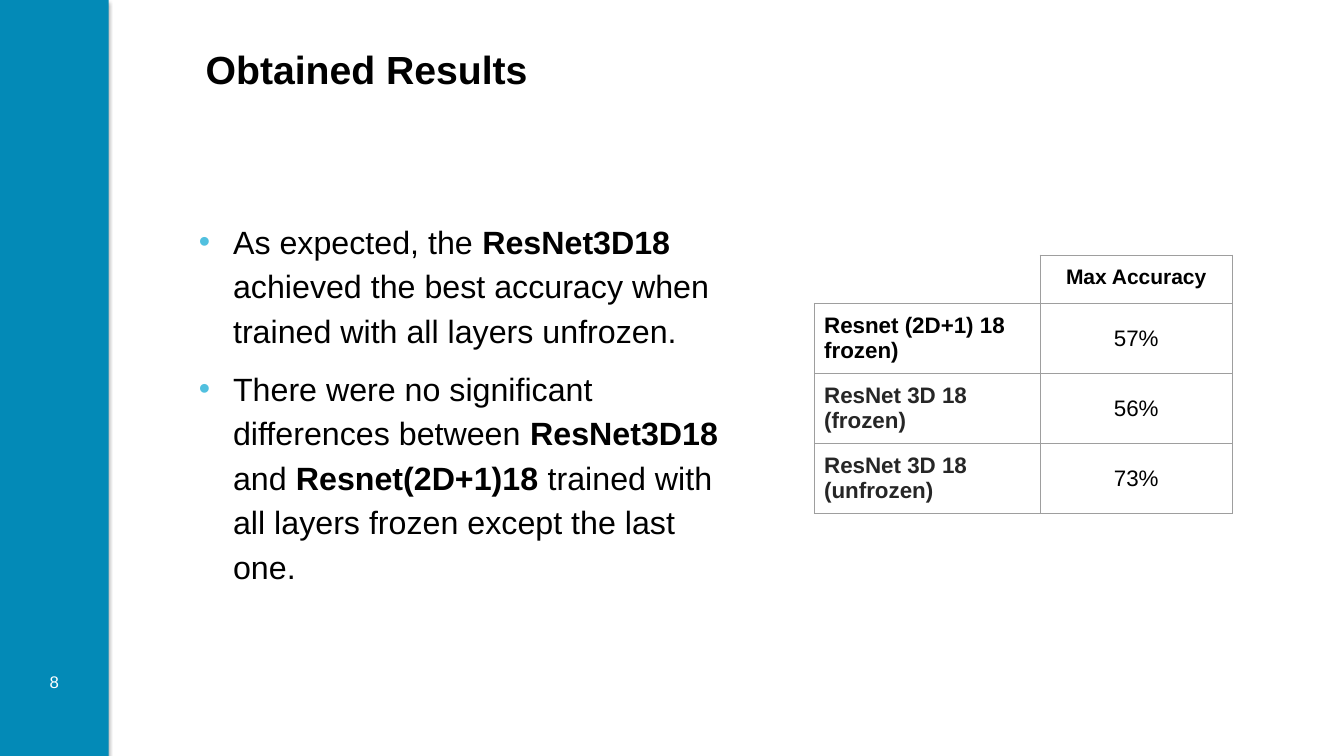
from dataclasses import dataclass

from lxml import etree
from pptx import Presentation
from pptx.dml.color import RGBColor
from pptx.enum.shapes import MSO_SHAPE
from pptx.enum.text import MSO_ANCHOR, MSO_AUTO_SIZE, PP_ALIGN
from pptx.oxml import parse_xml
from pptx.oxml.ns import nsdecls, qn
from pptx.util import Cm, Pt

RECTANGLE = MSO_SHAPE.RECTANGLE
TOP, MIDDLE = MSO_ANCHOR.TOP, MSO_ANCHOR.MIDDLE
LEFT, CENTER = PP_ALIGN.LEFT, PP_ALIGN.CENTER
NO_AUTOFIT = MSO_AUTO_SIZE.NONE


@dataclass(frozen=True)
class Theme:
    font: str = "Arial"
    text: str = "000000"
    label: str = "262626"
    light: str = "FFFFFF"
    bar: str = "038AB7"
    bullet: str = "51C0DF"
    grid: str = "9E9E9E"
    title_size: int = 28
    body_size: int = 23
    header_size: int = 15
    cell_size: int = 16
    number_size: int = 12


# Slide content: within a bullet, every second part is bold
BULLETS = [
    ["As expected, the ", "ResNet3D18",
     " achieved the best accuracy when trained with all layers unfrozen."],
    ["There were no significant differences between ", "ResNet3D18", " and ",
     "Resnet(2D+1)18", " trained with all layers frozen except the last one."],
]
RESULTS = [
    ("", "Max Accuracy"),
    ("Resnet (2D+1) 18 frozen)", "57%"),
    ("ResNet 3D 18 (frozen)", "56%"),
    ("ResNet 3D 18 (unfrozen)", "73%"),
]


class SlideBuilder:
    def __init__(self, deck, theme):
        self.theme = theme
        self.slide = deck.slides.add_slide(deck.slide_layouts[1])

    def style(self, para, size, color, bold=None, align=LEFT):
        para.alignment = align
        para.font.name = self.theme.font
        para.font.size = Pt(size)
        para.font.bold = bold
        para.font.color.rgb = RGBColor.from_string(color)

    def place(self, box, left, top, width, height, anchor=TOP):
        box.left, box.top = Cm(left), Cm(top)
        box.width, box.height = Cm(width), Cm(height)
        frame = box.text_frame
        frame.word_wrap = True
        frame.auto_size = NO_AUTOFIT
        frame.vertical_anchor = anchor
        return frame

    def side_bar(self, width, height):
        bar = self.slide.shapes.add_shape(RECTANGLE, 0, 0, Cm(width), Cm(height))
        bar.fill.solid()
        bar.fill.fore_color.rgb = RGBColor.from_string(self.theme.bar)
        bar.line.fill.background()
        bar.shadow.inherit = False
        effects = bar.fill._xPr.find(qn("a:effectLst"))
        effects.append(parse_xml(
            f'<a:outerShdw {nsdecls("a")} blurRad="{Pt(3.1)}" dist="{Pt(1.8)}" '
            'dir="5400000" rotWithShape="0"><a:srgbClr val="000000">'
            '<a:alpha val="35000"/></a:srgbClr></a:outerShdw>'))

    def title(self, text, *place):
        frame = self.place(self.slide.shapes.title, *place)
        frame.text = text
        self.style(frame.paragraphs[0], self.theme.title_size, self.theme.text, True)

    def number(self, text, *place):
        box = self.slide.shapes.add_textbox(0, 0, 0, 0)
        frame = self.place(box, *place, anchor=MIDDLE)
        frame.text = text
        self.style(frame.paragraphs[0], self.theme.number_size, self.theme.light,
                   align=CENTER)

    def bullets(self, items, *place):
        frame = self.place(self.slide.placeholders[1], *place)
        for index, parts in enumerate(items):
            para = frame.add_paragraph() if index else frame.paragraphs[0]
            para.line_spacing = 1.15
            para.space_before = Pt(10)
            self.add_bullet(para)
            self.style(para, self.theme.body_size, self.theme.text)
            for position, part in enumerate(parts):
                span = para.add_run()
                span.text = part
                if position % 2:
                    span.font.bold = True

    def add_bullet(self, para):
        props = para._p.get_or_add_pPr()
        props.set("marL", str(Cm(0.97)))
        props.set("indent", str(-Cm(0.86)))
        color = etree.SubElement(props, qn("a:buClr"))
        etree.SubElement(color, qn("a:srgbClr"), val=self.theme.bullet)
        etree.SubElement(props, qn("a:buFont"), typeface=self.theme.font)
        etree.SubElement(props, qn("a:buChar"), char="•")

    def borders(self, cell, hidden=""):
        props = cell._tc.get_or_add_tcPr()
        for side in "LRTB":
            color = self.theme.light if side in hidden else self.theme.grid
            props.append(parse_xml(
                f'<a:ln{side} {nsdecls("a")} w="{Pt(0.75)}"><a:solidFill>'
                f'<a:srgbClr val="{color}"/></a:solidFill></a:ln{side}>'))

    def cell_style(self, row, column):
        theme = self.theme
        if row == 0:
            return theme.header_size, theme.text, True, CENTER
        if column == 1:
            return theme.cell_size, theme.text, False, CENTER
        return theme.cell_size, theme.text if row == 1 else theme.label, True, LEFT

    def table(self, rows, left, top, widths, heights):
        frame = self.slide.shapes.add_table(
            len(rows), len(widths), Cm(left), Cm(top), Cm(sum(widths)), Cm(sum(heights)))
        table = frame.table
        table.first_row = table.horz_banding = False
        for column, width in zip(table.columns, widths):
            column.width = Cm(width)
        for r, (row, height) in enumerate(zip(rows, heights)):
            table.rows[r].height = Cm(height)
            for c, text in enumerate(row):
                cell = table.cell(r, c)
                cell.text = text
                cell.margin_left = cell.margin_right = Cm(0.25)
                cell.margin_top = cell.margin_bottom = Cm(0.25)
                cell.vertical_anchor = MIDDLE if r and c else TOP
                self.style(cell.text_frame.paragraphs[0], *self.cell_style(r, c))
                self.borders(cell, hidden="" if r or c else "LT")
                cell.fill.background()


def main():
    deck = Presentation()
    deck.slide_width, deck.slide_height = Cm(33.87), Cm(19.05)
    page = SlideBuilder(deck, Theme())

    # Side bar with the page number
    page.side_bar(2.74, 19.05)
    page.number("8", 0, 16.33, 2.74, 1.7)

    # Title and findings
    page.title("Obtained Results", 4.93, 1.02, 22.12, 2.29)
    page.bullets(BULLETS, 4.65, 5.33, 13.94, 11.28)

    # Accuracy table
    page.table(RESULTS, 20.52, 6.43, [5.69, 4.85], [1.21] + [1.77] * 3)

    deck.save("out.pptx")


if __name__ == "__main__":
    main()
